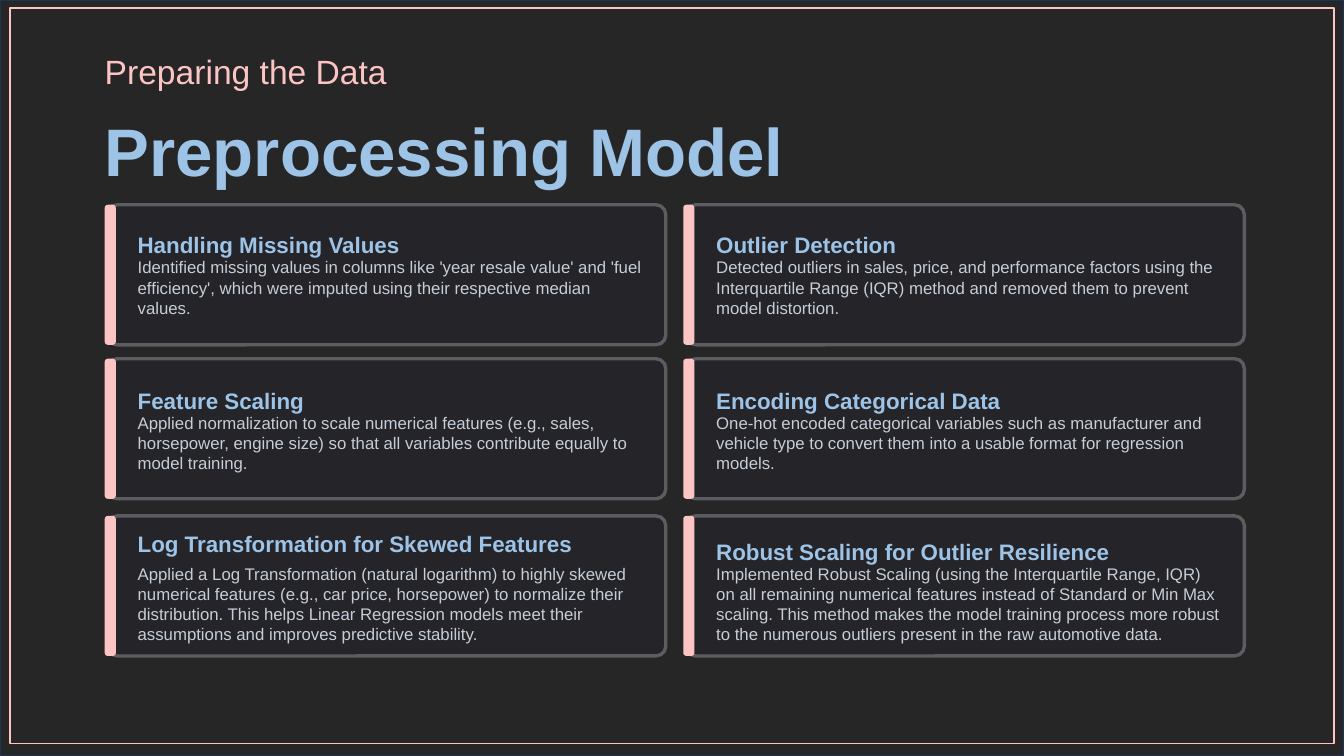
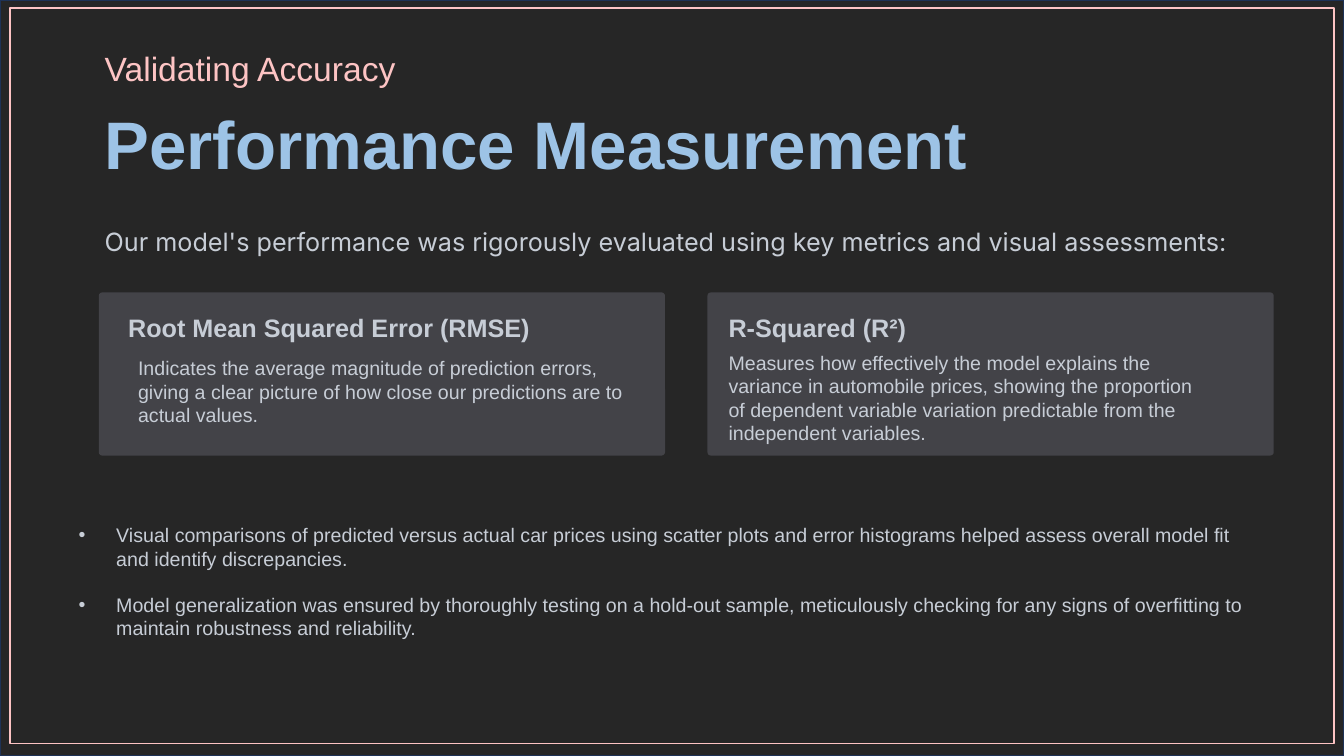
from lxml.etree import SubElement
from pptx import Presentation
from pptx.dml.color import RGBColor
from pptx.enum.shapes import MSO_SHAPE as Shape
from pptx.enum.text import MSO_ANCHOR as Anchor, PP_ALIGN as Align
from pptx.oxml.ns import qn
from pptx.util import Cm, Pt

COLORS = {
    "background": "262626",
    "edge": "1E3256",
    "pink": "FDC4C4",
    "blue": "9DC3E6",
    "text": "C7CDD6",
    "card": "242429",
    "card_line": "5C5C61",
    "panel": "434348",
}
SANS = "Arial"
PAGE_WIDTH, PAGE_HEIGHT = 33.87, 19.05
MARGIN = 2.64

CARD_COLUMNS = (MARGIN, 17.22)
CARD_WIDTH, CARD_HEIGHT = 14.07, 3.53
CARD_ROWS = ((5.16, 5.33, 6.48), (9.04, 9.27, 10.39), (13.0, 13.08, 14.2))
CARDS = (
    ("Handling Missing Values",
     "Identified missing values in columns like 'year resale value' and 'fuel efficiency', "
     "which were imputed using their respective median values."),
    ("Outlier Detection",
     "Detected outliers in sales, price, and performance factors using the Interquartile "
     "Range (IQR) method and removed them to prevent model distortion."),
    ("Feature Scaling",
     "Applied normalization to scale numerical features (e.g., sales, horsepower, engine "
     "size) so that all variables contribute equally to model training."),
    ("Encoding Categorical Data",
     "One-hot encoded categorical variables such as manufacturer and vehicle type to "
     "convert them into a usable format for regression models."),
    ("Log Transformation for Skewed Features",
     "Applied a Log Transformation (natural logarithm) to highly skewed numerical features "
     "(e.g., car price, horsepower) to normalize their distribution. This helps Linear "
     "Regression models meet their assumptions and improves predictive stability."),
    ("Robust Scaling for Outlier Resilience",
     "Implemented Robust Scaling (using the Interquartile Range, IQR) on all remaining "
     "numerical features instead of Standard or Min Max scaling. This method makes the "
     "model training process more robust to the numerous outliers present in the raw "
     "automotive data."),
)
RAISED_CARD = 4

PANEL_TOP, PANEL_WIDTH, PANEL_HEIGHT = 7.37, 14.27, 4.11
PANELS = (
    (2.49, 3.23, "Root Mean Squared Error (RMSE)", 3.48, 8.97, 12.4,
     "Indicates the average magnitude of prediction errors, giving a clear picture of how "
     "close our predictions are to actual values."),
    (17.83, 18.36, "R-Squared (R²)", 18.36, 8.84, 11.73,
     "Measures how effectively the model explains the variance in automobile prices, "
     "showing the proportion of dependent variable variation predictable from the "
     "independent variables."),
)
FINDINGS = (
    "Visual comparisons of predicted versus actual car prices using scatter plots and error "
    "histograms helped assess overall model fit and identify discrepancies.",
    "Model generalization was ensured by thoroughly testing on a hold-out sample, "
    "meticulously checking for any signs of overfitting to maintain robustness and "
    "reliability.",
)


def rgb(name):
    return RGBColor.from_string(COLORS[name])


def add_block(page, kind, left, top, width, height, fill=None, line=None, weight=1, corner=None):
    block = page.shapes.add_shape(kind, Cm(left), Cm(top), Cm(width), Cm(height))
    block.shadow.inherit = False
    if fill:
        block.fill.solid()
        block.fill.fore_color.rgb = rgb(fill)
    else:
        block.fill.background()
    if line:
        block.line.color.rgb = rgb(line)
        block.line.width = Pt(weight)
    else:
        block.line.fill.background()
    if corner is not None:
        block.adjustments[0] = corner


def style_para(para, text, size, color, bold=False, face=SANS, spacing=None):
    para.text = text
    para.alignment = Align.LEFT
    if spacing:
        para.line_spacing = Pt(spacing)
    font = para.font
    font.name, font.size, font.bold = face, Pt(size), bold
    font.color.rgb = rgb(color)


def add_frame(page, left, top, width, height, wrap):
    frame = page.shapes.add_textbox(Cm(left), Cm(top), Cm(width), Cm(height)).text_frame
    frame.margin_left = frame.margin_top = frame.margin_right = frame.margin_bottom = 0
    frame.vertical_anchor = Anchor.TOP
    frame.word_wrap = wrap
    return frame


def add_text(page, left, top, width, height, text, size, color, wrap=False, **style):
    frame = add_frame(page, left, top, width, height, wrap)
    style_para(frame.paragraphs[0], text, size, color, **style)


def add_bullets(page, left, top, width, height, items):
    frame = add_frame(page, left, top, width, height, True)
    for index, item in enumerate(items):
        para = frame.add_paragraph() if index else frame.paragraphs[0]
        properties = para._p.get_or_add_pPr()
        properties.set("marL", str(Cm(0.95)))
        properties.set("indent", str(-Cm(0.95)))
        SubElement(properties, qn("a:buFont")).set("typeface", SANS)
        SubElement(properties, qn("a:buChar")).set("char", "•")
        if index:
            para.space_before = Pt(16)
        style_para(para, item, 14, "text")


def add_page(deck, kicker, kicker_spacing, title, title_spacing):
    page = deck.slides.add_slide(deck.slide_layouts[6])
    add_block(page, Shape.RECTANGLE, 0, 0, PAGE_WIDTH, PAGE_HEIGHT, "background", "edge")
    add_block(page, Shape.RECTANGLE, 0.25, 0.2, 33.37, 18.54, line="pink")
    add_text(page, MARGIN, 2.08, 28.6, 1.98, title, 48, "blue", bold=True, spacing=title_spacing)
    add_text(page, MARGIN, 1.32, 12, 0.99, kicker, 24, "pink", spacing=kicker_spacing)
    return page


def add_card(page, left, top, title_top, body_top, title, body, title_spacing):
    add_block(page, Shape.ROUNDED_RECTANGLE, left + 0.07, top, CARD_WIDTH, CARD_HEIGHT,
              "card", "card_line", 2.4, 0.07)
    add_block(page, Shape.ROUNDED_RECTANGLE, left, top, 0.28, CARD_HEIGHT, "pink", corner=0.28)
    text_left = left + 0.83
    add_text(page, text_left, title_top, 12, 0.69, title, 16, "blue",
             bold=True, spacing=title_spacing)
    add_text(page, text_left, body_top, 12.75, 1.78, body, 12, "text", wrap=True)


def add_panel(page, left, title_left, title, body_left, body_top, body_width, body):
    add_block(page, Shape.ROUNDED_RECTANGLE, left, PANEL_TOP, PANEL_WIDTH, PANEL_HEIGHT,
              "panel", corner=0.02)
    add_text(page, title_left, 7.65, 11, 0.79, title, 18, "text", bold=True, spacing=27.5)
    add_text(page, body_left, body_top, body_width, 2.06, body, 14, "text", wrap=True)


def build_preprocessing(deck):
    page = add_page(deck, "Preparing the Data", 27.5, "Preprocessing Model", 77)
    for index, (title, body) in enumerate(CARDS):
        row, column = divmod(index, len(CARD_COLUMNS))
        top, title_top, body_top = CARD_ROWS[row]
        spacing = 33
        if index == RAISED_CARD:
            title_top, spacing = 13.36, None
        add_card(page, CARD_COLUMNS[column], top, title_top, body_top, title, body, spacing)


def build_performance(deck):
    page = add_page(deck, "Validating Accuracy", 25.5, "Performance Measurement", 71.5)
    add_text(page, MARGIN, 5.54, 29.03, 0.81,
             "Our model's performance was rigorously evaluated using key metrics and visual "
             "assessments:", 18, "text", face="Inter", spacing=26.5)
    for panel in PANELS:
        add_panel(page, *panel)
    add_bullets(page, 1.98, 13.18, 29.51, 3.89, FINDINGS)


def main():
    deck = Presentation()
    deck.slide_width, deck.slide_height = Cm(PAGE_WIDTH), Cm(PAGE_HEIGHT)
    build_preprocessing(deck)
    build_performance(deck)
    deck.save("out.pptx")


if __name__ == "__main__":
    main()
